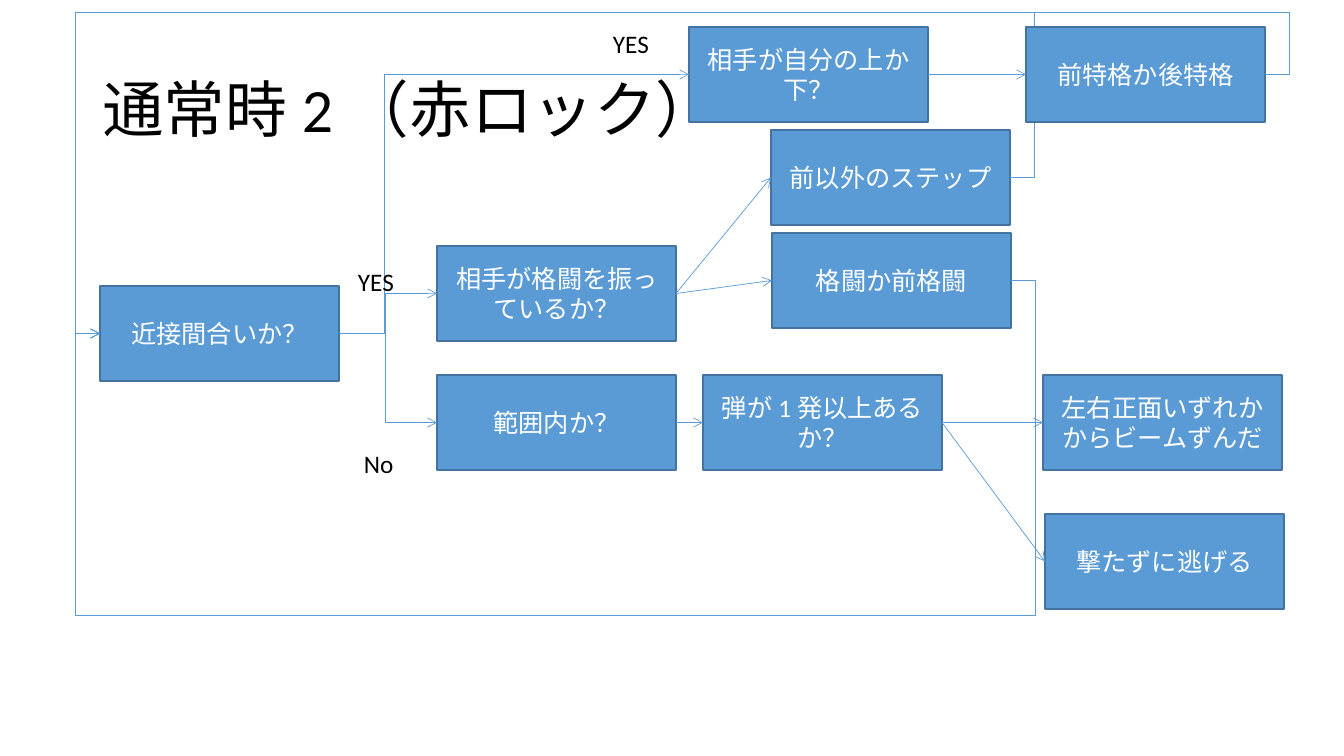
from dataclasses import dataclass

from lxml.etree import SubElement
from pptx import Presentation
from pptx.dml.color import RGBColor
from pptx.enum.shapes import MSO_CONNECTOR as Connector, MSO_SHAPE as Shape
from pptx.enum.text import MSO_ANCHOR as Anchor, PP_ALIGN as Align
from pptx.oxml.ns import qn
from pptx.util import Pt

SCALE = 9071  # EMU in one pixel
STEP_WIDTH, STEP_HEIGHT = 239, 95
TOP, RIGHT, BOTTOM, LEFT = 0, 3, 2, 1  # connection sites of a rectangle
TRUNK, LOOP_LEFT, LOOP_TOP, LOOP_BOTTOM, LOOP_GAP = 385, 75, 12, 615, 25


@dataclass(frozen=True)
class Theme:
    """Colours, font and type sizes of the slide."""
    fill: RGBColor = RGBColor(0x5B, 0x9B, 0xD5)
    outline: RGBColor = RGBColor(0x43, 0x73, 0x9E)
    light: RGBColor = RGBColor(0xFF, 0xFF, 0xFF)
    dark: RGBColor = RGBColor(0, 0, 0)
    font: str = "Calibri"
    title_size: int = 44
    text_size: int = 18


THEME = Theme()


def px(*lengths):
    """Turn pixels into EMU."""
    return [length * SCALE for length in lengths]


def write(frame, text, size, colour, align=Align.LEFT):
    """Put one formatted paragraph in a text frame."""
    frame.text = text
    para = frame.paragraphs[0]
    para.alignment = align
    font = para.runs[0].font
    font.name, font.size, font.color.rgb = THEME.font, Pt(size), colour
    return para


def add_title(page, text, box):
    """Move and format the title placeholder."""
    title = page.shapes.title
    title.left, title.top, title.width, title.height = px(*box)
    title.text_frame.vertical_anchor = Anchor.MIDDLE
    write(title.text_frame, text, THEME.title_size, THEME.dark).line_spacing = 0.9


def add_label(page, text, box):
    """Add an answer label beside a branch."""
    label = page.shapes.add_textbox(*px(*box))
    label.text_frame.word_wrap = True
    write(label.text_frame, text, THEME.text_size, THEME.dark)


def add_step(page, text, left, top):
    """Add one rectangle of the flow."""
    step = page.shapes.add_shape(
        Shape.RECTANGLE, *px(left, top, STEP_WIDTH, STEP_HEIGHT))
    step.shadow.inherit = False
    step.fill.solid()
    step.fill.fore_color.rgb = THEME.fill
    step.line.color.rgb = THEME.outline
    step.line.width = Pt(1)
    step.text_frame.word_wrap = True
    step.text_frame.vertical_anchor = Anchor.MIDDLE
    write(step.text_frame, text, THEME.text_size, THEME.light, Align.CENTER)
    return step


def link(page, source, target, kind=Connector.STRAIGHT):
    """Join the right side of one step to the left side of another."""
    line = page.shapes.add_connector(kind, 0, 0, 0, 0)
    line.begin_connect(source, RIGHT)
    line.end_connect(target, LEFT)
    line.line.color.rgb = THEME.fill
    line.line.width = Pt(0.5)
    properties = line._element.spPr
    SubElement(properties.find(qn("a:ln")), qn("a:tailEnd"), type="arrow")
    SubElement(properties, qn("a:effectLst"))
    return line


def bend(line, *turns):
    """Place an elbow's turns, given in turn as x, y, x in pixels."""
    starts = line.begin_x, line.begin_y
    ends = line.end_x, line.end_y
    geometry = line._element.spPr.find(qn("a:prstGeom"))
    geometry.set("prst", f"bentConnector{len(turns) + 2}")
    values = geometry.find(qn("a:avLst"))
    if values is None:
        values = SubElement(geometry, qn("a:avLst"))
    for index, turn in enumerate(turns):
        start, end = starts[index % 2], ends[index % 2]
        share = round((turn * SCALE - start) / (end - start) * 100000)
        SubElement(values, qn("a:gd"), name=f"adj{index + 1}", fmla=f"val {share}")


def branch(page, source, target):
    """Lead from the first question along the shared trunk."""
    bend(link(page, source, target, Connector.ELBOW), TRUNK)


def loop_back(page, source, target, level):
    """Lead from a last step around the flow to the first question."""
    right = round((source.left + source.width) / SCALE) + LOOP_GAP
    bend(link(page, source, target, Connector.ELBOW), right, level, LOOP_LEFT)


def draw_melee(page, start, box):
    """Draw the close-range branch with its two moves."""
    left, top = box
    question = add_step(page, "相手が格闘を振っているか？", left, top + 116)
    branch(page, start, question)
    moves = (("前以外のステップ", 334, 0, LOOP_TOP),
             ("格闘か前格闘", 335, 103, LOOP_BOTTOM))
    for text, across, down, level in moves:
        move = add_step(page, text, left + across, top + down)
        link(page, question, move)
        loop_back(page, move, start, level)


def draw_shooting(page, start, box):
    """Draw the long-range branch with its two outcomes."""
    left, top = box
    in_range = add_step(page, "範囲内か？", left, top)
    ammo = add_step(page, "弾が1発以上あるか？", left + 266, top)
    branch(page, start, in_range)
    link(page, in_range, ammo)
    for text, across, down in (("左右正面いずれかからビームずんだ", 606, 0),
                               ("撃たずに逃げる", 608, 139)):
        link(page, ammo, add_step(page, text, left + across, top + down))


def draw_vertical(page, start, box):
    """Draw the branch for an opponent above or below."""
    left, top = box
    question = add_step(page, "相手が自分の上か下？", left, top)
    special = add_step(page, "前特格か後特格", left + 337, top)
    branch(page, start, question)
    link(page, question, special)
    loop_back(page, special, start, LOOP_TOP)


def main():
    """Build the slide and save it."""
    deck = Presentation()
    deck.slide_width, deck.slide_height = px(1344, 756)
    page = deck.slides.add_slide(deck.slide_layouts[5])
    add_title(page, "通常時2（赤ロック）", (92, 40, 1159, 146))
    start = add_step(page, "近接間合いか？", 100, 286)
    draw_melee(page, start, (437, 130))
    draw_shooting(page, start, (437, 375))
    draw_vertical(page, start, (689, 27))
    for text, box in (("YES", (603, 23, 73, 40)),
                      ("YES", (348, 261, 73, 40)),
                      ("No", (354, 443, 59, 40))):
        add_label(page, text, box)
    deck.save("out.pptx")


main()
